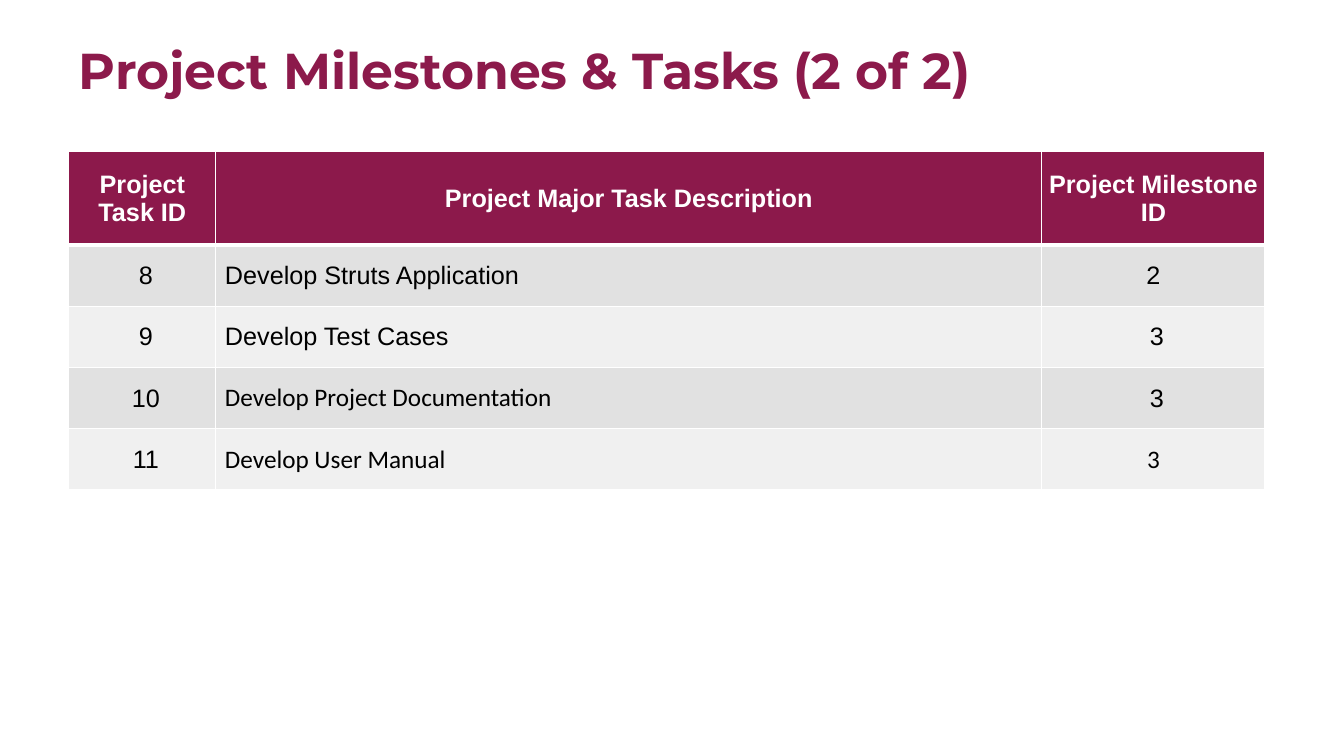
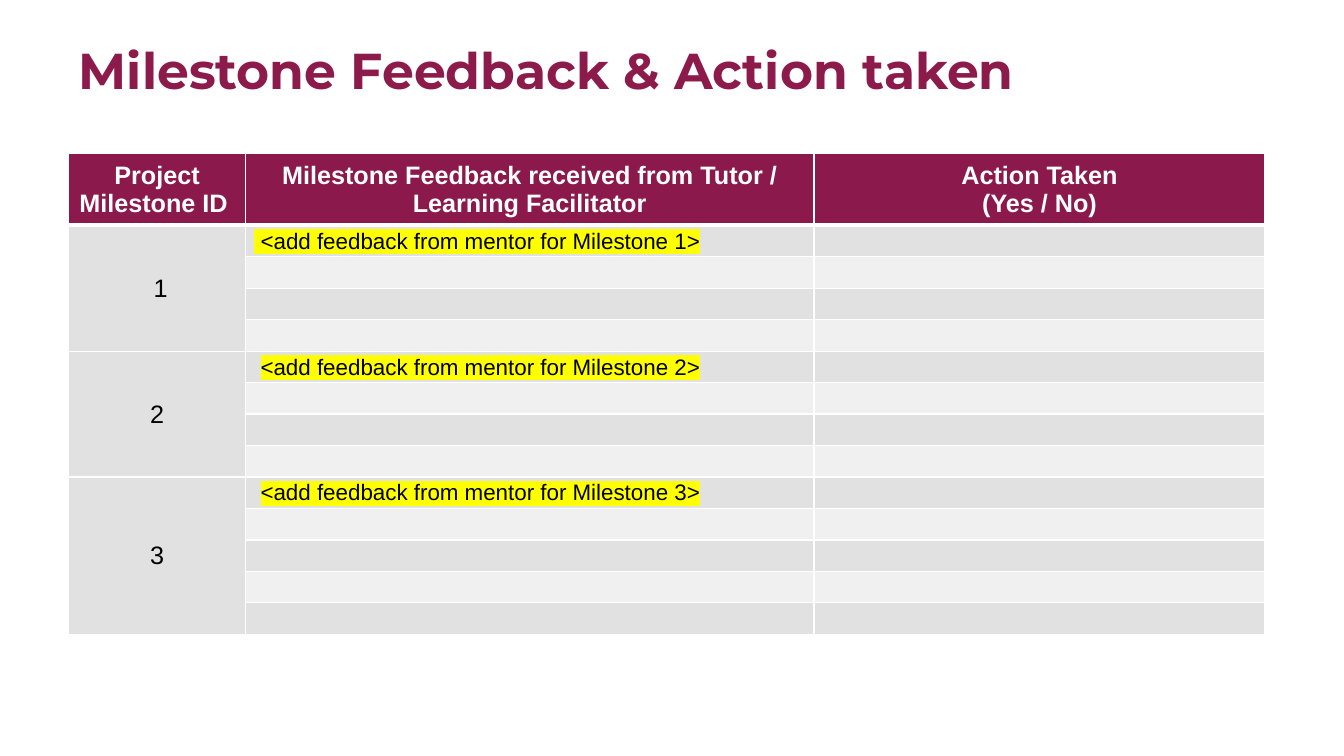
from dataclasses import dataclass
from lxml.etree import SubElement as Sub
from pptx import Presentation
from pptx.dml.color import RGBColor as RGB
from pptx.enum.text import MSO_ANCHOR as Anchor, PP_ALIGN as Align
from pptx.oxml import parse_xml
from pptx.oxml.ns import nsdecls, qn
from pptx.util import Pt

PLUM = RGB(0x8C, 0x1A, 0x4B)
HEAD = RGB(0x8C, 0x19, 0x4B)
DARK = RGB(0xE1, 0xE1, 0xE1)
LIGHT = RGB(0xF0, 0xF0, 0xF0)
WHITE = RGB(0xFF, 0xFF, 0xFF)
BLACK = RGB(0, 0, 0)
MARK = RGB(0xFF, 0xFF, 0)
LEFT, WIDTH = 49.2, 854.4
INSET, INDENT = 0.7, 6.5


@dataclass
class Run:
    text: str
    font: str = "Arial"
    size: float = 18
    mark: bool = False


def add_run(para, run, color, bold=False):
    part = para.add_run()
    part.text = run.text
    font = part.font
    font.name, font.size, font.bold = run.font, Pt(run.size), bold
    font.color.rgb = color
    if run.mark:
        fill = part._r.find(qn("a:rPr")).find(qn("a:solidFill"))
        fill.addnext(parse_xml(
            f'<a:highlight {nsdecls("a")}><a:srgbClr val="{MARK}"/></a:highlight>'))


def add_title(slide, text, x=LEFT, y=9.5, w=WIDTH, h=66):
    frame = slide.shapes.add_textbox(Pt(x), Pt(y), Pt(w), Pt(h)).text_frame
    frame.word_wrap = True
    frame.vertical_anchor = Anchor.BOTTOM
    para = frame.paragraphs[0]
    para.line_spacing = 0.9
    add_run(para, Run(text, "Montserrat", 36), PLUM, True)


def add_lines(cell, base):
    props = cell._tc.get_or_add_tcPr()
    for side in "LRTB":
        line = Sub(props, qn(f"a:ln{side}"), w=str(Pt(base if side == "B" else 1)))
        fill = Sub(line, qn("a:solidFill"))
        Sub(fill, qn("a:srgbClr"), val=str(WHITE))


def fill_cell(cell, lines, row, left):
    head = row == 0
    add_lines(cell, 3 if head else 1)
    cell.fill.solid()
    cell.fill.fore_color.rgb = HEAD if head else DARK if row % 2 else LIGHT
    cell.vertical_anchor = Anchor.MIDDLE
    cell.margin_left = Pt(INDENT if left else INSET)
    cell.margin_right = cell.margin_top = Pt(INSET)
    cell.margin_bottom = Pt(0)
    frame = cell.text_frame
    for i, runs in enumerate(lines):
        para = frame.add_paragraph() if i else frame.paragraphs[0]
        para.alignment = Align.LEFT if left else Align.CENTER
        for run in runs:
            add_run(para, run, WHITE if head else BLACK, head)
    if not lines:
        Sub(frame.paragraphs[0]._p, qn("a:endParaRPr"), sz="1600")


def add_grid(slide, top, cols, heights, rows):
    table = slide.shapes.add_table(
        len(rows), len(cols), Pt(LEFT), Pt(top), Pt(sum(cols)), Pt(sum(heights))).table
    for col, width in zip(table.columns, cols):
        col.width = Pt(width)
    for r, (height, cells) in enumerate(zip(heights, rows)):
        table.rows[r].height = Pt(height)
        for c, lines in enumerate(cells):
            fill_cell(table.cell(r, c), lines, r, r > 0 and c == 1)
    return table


def plain(*texts, font="Arial"):
    return [[Run(text, font)] for text in texts]


def add_tasks(slide):
    add_title(slide, "Project Milestones & Tasks (2 of 2)")
    tasks = [
        (" 8", "Develop Struts Application", "Arial", "2", "Arial"),
        (" 9", "Develop Test Cases", "Arial", " 3", "Arial"),
        (" 10", "Develop Project Documentation", "Calibri", " 3", "Arial"),
        (" 11", "Develop User Manual", "Calibri", "3", "Calibri"),
    ]
    rows = [[plain("Project Task ID"), plain("Project Major Task Description"),
             plain("Project Milestone ID")]]
    for num, text, face, stone, font in tasks:
        rows.append([plain(num), plain(text, font=face), plain(stone, font=font)])
    add_grid(slide, 108, [105, 590, 159.4], [67] + [43.7] * len(tasks), rows)


def add_notes(slide):
    add_title(slide, "Milestone Feedback & Action taken")
    groups = [(" 1", 4, True), ("2", 4, False), ("3", 5, False)]
    rows = [[plain("Project Milestone ID "),
             plain("Milestone Feedback received from Tutor / Learning Facilitator"),
             plain("Action Taken", "(Yes / No)")]]
    spans = []
    for i, (num, span, mark) in enumerate(groups, 1):
        spans.append((len(rows), len(rows) + span - 1))
        note = [Run(" ", size=16, mark=mark),
                Run(f"<add feedback from mentor for Milestone {i}>", size=16, mark=True)]
        rows.append([plain(num), [note], []])
        rows += [[[], [], []] for _ in range(span - 1)]
    table = add_grid(slide, 109.5, [126, 406.3, 322.1],
                     [51.4] + [22.5] * (len(rows) - 1), rows)
    for first, last in spans:
        table.cell(first, 0).merge(table.cell(last, 0))


def main():
    deck = Presentation()
    deck.slide_width, deck.slide_height = Pt(960), Pt(540)
    for build in (add_tasks, add_notes):
        build(deck.slides.add_slide(deck.slide_layouts[6]))
    deck.save("out.pptx")


if __name__ == "__main__":
    main()
